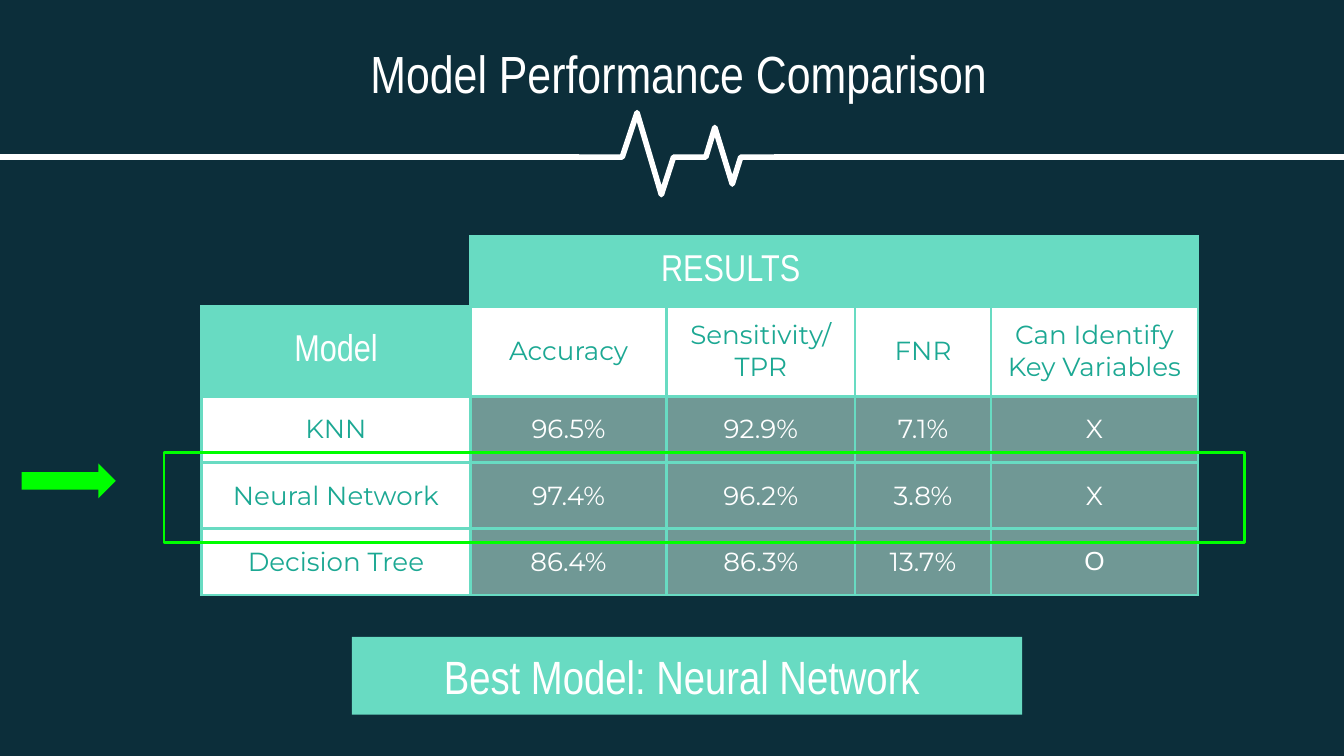
from lxml.etree import SubElement
from pptx import Presentation
from pptx.dml.color import RGBColor
from pptx.enum.shapes import MSO_CONNECTOR, MSO_SHAPE
from pptx.enum.text import MSO_ANCHOR, PP_ALIGN
from pptx.oxml.ns import qn
from pptx.util import Cm, Pt

# Content
TITLE = "Model Performance Comparison "
BEST = "Best Model: Neural Network "
ROWS = [
    ["", "RESULTS", "", "", ""],
    ["Model", "Accuracy", "Sensitivity/\nTPR", "FNR", "Can Identify Key Variables"],
    ["KNN", "96.5%", "92.9%", "7.1%", "X"],
    ["Neural Network", "97.4%", "96.2%", "3.8%", "X"],
    ["Decision Tree", "86.4%", "86.3%", "13.7%", "O"],
]
WIDTHS = [5.08, 3.71, 3.56, 2.57, 3.91]
HEIGHTS = [1.32, 1.32, 1.25, 1.25, 1.25]
PULSE = [(10.8, 2.97), (11.76, 2.97), (12.04, 2.13), (12.5, 3.68), (12.73, 2.97),
         (13.34, 2.97), (13.51, 2.41), (13.84, 3.48), (14, 2.97), (14.88, 2.97)]

# Style
NAVY, MINT, TEAL, GREY = "0C2E3A", "68DBC2", "1CA893", "709895"
WHITE, GREEN = "FFFFFF", "00FF00"
HEAD, BODY = "Arial Narrow", "Montserrat"
INSET = Cm(0.25)


def tint(color, code):
    color.rgb = RGBColor.from_string(code)


def paint(fill, code):
    if code:
        fill.solid()
        tint(fill.fore_color, code)
    else:
        fill.background()


def stroke(shape, code, width):
    tint(shape.line.color, code)
    shape.line.width = Pt(width)


def write(frame, text, font, size, code):
    frame.text = text
    for para in frame.paragraphs:
        para.alignment = PP_ALIGN.CENTER
        for run in para.runs:
            run.font.name, run.font.size = font, Pt(size)
            tint(run.font.color, code)


def inset(item):
    item.margin_left = item.margin_right = INSET
    item.margin_top = item.margin_bottom = INSET
    item.vertical_anchor = MSO_ANCHOR.MIDDLE


def edge(cell, sides, code):
    props = cell._tc.get_or_add_tcPr()
    for side in "LRTB":
        line = SubElement(props, qn("a:ln" + side), w=str(Pt(1.5)))
        if side in sides:
            solid = SubElement(line, qn("a:solidFill"))
            SubElement(solid, qn("a:srgbClr"), val=code)
        else:
            SubElement(line, qn("a:noFill"))


def block(kind, x, y, w, h, fill=None):
    shape = slide.shapes.add_shape(kind, Cm(x), Cm(y), Cm(w), Cm(h))
    shape.shadow.inherit = False
    paint(shape.fill, fill)
    shape.line.fill.background()
    return shape


def look(row, col):
    """Fill, font, size and text colour of a table cell."""
    if (row, col) == (0, 0):
        return None, HEAD, 20, WHITE
    if row == 0 or (row, col) == (1, 0):
        return MINT, HEAD, 20, WHITE
    if row == 1 or col == 0:
        return WHITE, BODY, 14, TEAL
    return GREY, "Arial" if ROWS[row][col] == "O" else BODY, 14, WHITE


# Slide
deck = Presentation()
deck.slide_width, deck.slide_height = Cm(25.4), Cm(14.29)
slide = deck.slides.add_slide(deck.slide_layouts[5])
paint(slide.background.fill, NAVY)

# Title
title = slide.shapes.title
title.left, title.top, title.width, title.height = Cm(1.52), Cm(0), Cm(22.83), Cm(2.74)
inset(title.text_frame)
write(title.text_frame, TITLE, HEAD, 28, WHITE)

# Best model banner
banner = block(MSO_SHAPE.RECTANGLE, 6.65, 12.04, 12.67, 1.47, MINT)
banner.text_frame.word_wrap = True
inset(banner.text_frame)
write(banner.text_frame, BEST, HEAD, 25, WHITE)

# Heartbeat line
beat = slide.shapes.add_group_shape().shapes
level = Cm(2.97)
for start, end in [(14.63, 25.4), (0, 10.95)]:
    rule = beat.add_connector(MSO_CONNECTOR.STRAIGHT, Cm(start), level, Cm(end), level)
    stroke(rule, WHITE, 3)
    SubElement(rule._element.spPr, qn("a:effectLst"))
points = [(Cm(x), Cm(y)) for x, y in PULSE]
build = beat.build_freeform(*points[0])
build.add_line_segments(points[1:], close=False)
pulse = build.convert_to_shape()
pulse.shadow.inherit = False
pulse.fill.background()
stroke(pulse, WHITE, 3)

# Results table
table = slide.shapes.add_table(len(ROWS), len(WIDTHS), Cm(3.81), Cm(4.47),
                               Cm(sum(WIDTHS)), Cm(sum(HEIGHTS))).table
table.first_row = table.horz_banding = False
for col, width in zip(table.columns, WIDTHS):
    col.width = Cm(width)
for row, height in zip(table.rows, HEIGHTS):
    row.height = Cm(height)
for r, texts in enumerate(ROWS):
    for c, text in enumerate(texts):
        cell = table.cell(r, c)
        fill, font, size, code = look(r, c)
        inset(cell)
        edge(cell, "LRTB" if fill else "RB", MINT)
        paint(cell.fill, fill)
        write(cell.text_frame, text, font, size, code)
table.cell(0, 1).merge(table.cell(0, 3))

# Arrow and frame around the best row
block(MSO_SHAPE.RIGHT_ARROW, 0.41, 8.76, 1.78, 0.66, GREEN)
frame = block(MSO_SHAPE.RECTANGLE, 3.1, 8.56, 20.42, 1.7)
stroke(frame, GREEN, 1.5)

deck.save("out.pptx")
